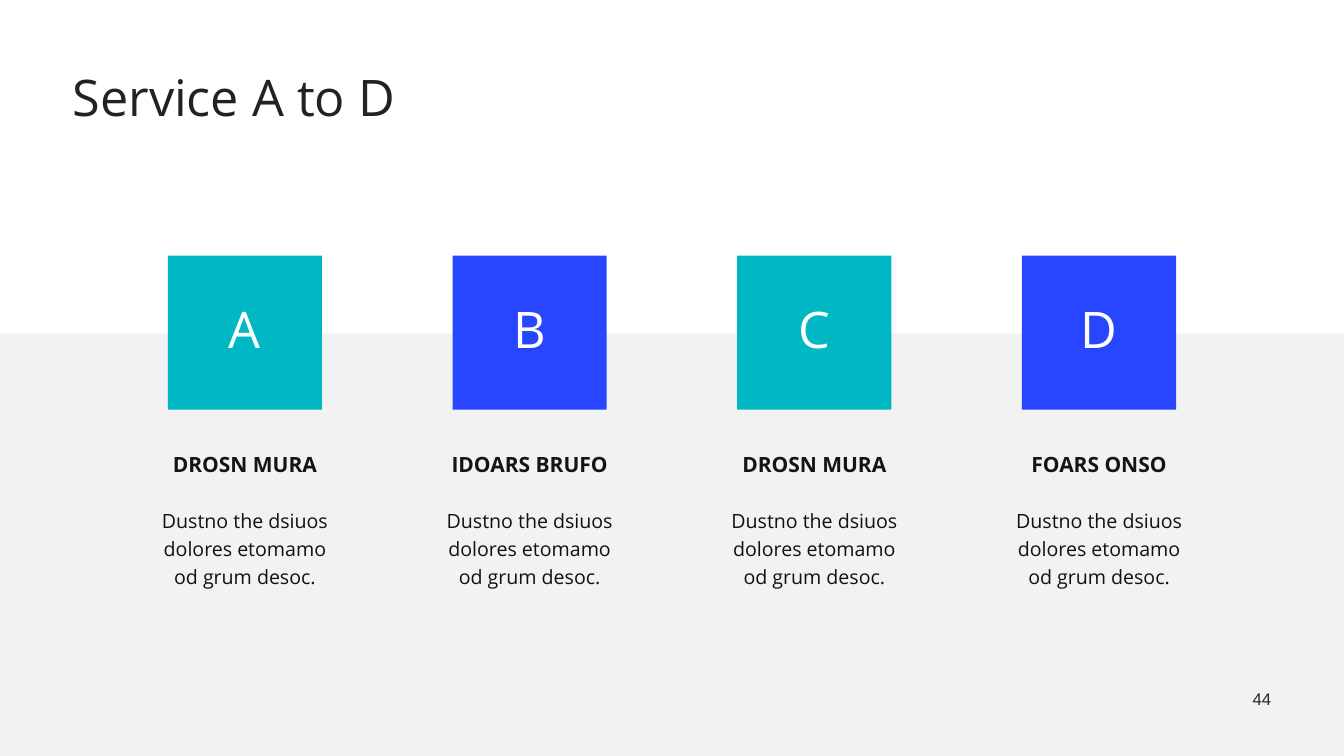
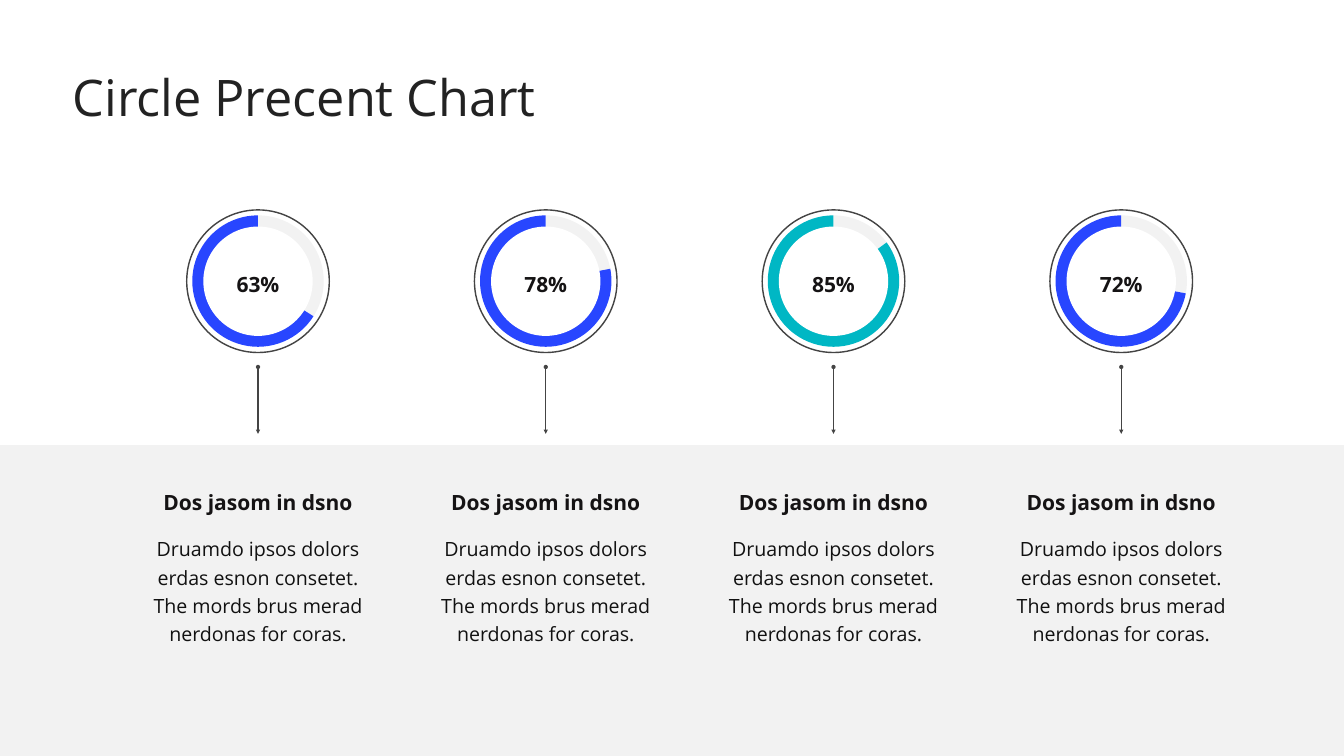
from lxml.etree import SubElement
from pptx import Presentation
from pptx.chart.data import CategoryChartData
from pptx.dml.color import RGBColor
from pptx.enum.chart import XL_CHART_TYPE as ChartType
from pptx.enum.shapes import MSO_CONNECTOR as Connector, MSO_SHAPE as Shape
from pptx.enum.text import MSO_ANCHOR as Anchor, MSO_AUTO_SIZE as AutoSize, PP_ALIGN as Align
from pptx.oxml import parse_xml
from pptx.oxml.ns import nsdecls, qn
from pptx.util import Inches, Pt

WHITE, PALE, LINE = "FFFFFF", "F2F2F2", "444444"
TEAL, BLUE = "00B7C4", "2846FF"
TITLE, HEADING, BODY, NUMBER = "222222", "151314", "111111", "24282B"
FONT = "Open Sans"
WIDTH, HEIGHT = 26.67, 15

SERVICES = [
    ("A", "DROSN MURA", TEAL),
    ("B", "IDOARS BRUFO", BLUE),
    ("C", "DROSN MURA", TEAL),
    ("D", "FOARS ONSO", BLUE),
]
SERVICE_TEXT = ["Dustno the dsiuos dolores etomamo", "od grum desoc."]
PERCENTS = [(63, 34, BLUE), (78, 22, BLUE), (85, 15, TEAL), (72, 28, BLUE)]
PERCENT_HEADING = "Dos jasom in dsno"
PERCENT_TEXT = [
    "Druamdo ipsos dolors erdas esnon consetet.",
    "The mords brus merad nerdonas for coras.",
]


def color(value):
    """Turn a hex string into a colour."""
    return RGBColor.from_string(value)


def place(box, left, top, width, height):
    """Move and size a box, in inches."""
    box.left, box.top = Inches(left), Inches(top)
    box.width, box.height = Inches(width), Inches(height)


def write(box, lines, *, size, ink, font=FONT, bold=False, align=Align.CENTER,
          spacing=1.0, anchor=Anchor.TOP, inset=0.05, tracking=0):
    """Fill a box with formatted paragraphs."""
    frame = box.text_frame
    frame.word_wrap = True
    frame.auto_size = AutoSize.SHAPE_TO_FIT_TEXT
    frame.vertical_anchor = anchor
    frame.margin_left = frame.margin_right = Inches(inset)
    frame.margin_top = frame.margin_bottom = Inches(inset)
    for index, line in enumerate(lines):
        para = frame.add_paragraph() if index else frame.paragraphs[0]
        para.alignment, para.line_spacing = align, spacing
        para.space_before = para.space_after = Pt(0)
        span = para.add_run()
        span.text = line
        span.font.name, span.font.size, span.font.bold = font, Pt(size), bold
        span.font.color.rgb = color(ink)
        if tracking:
            span.font._element.set("spc", str(tracking))


def add_text(page, center, top, width, height, lines, **style):
    """Add a text box centred on a column."""
    area = [Inches(n) for n in (center - width / 2, top, width, height)]
    write(page.shapes.add_textbox(*area), lines, **style)


def add_heading(page, center, top, width, text, **style):
    """Add a bold one-line heading."""
    add_text(page, center, top, width, 0.67, [text], size=30, ink=HEADING,
             bold=True, spacing=1.1, **style)


def add_body(page, center, top, width, height, lines, **style):
    """Add the running text under a heading."""
    add_text(page, center, top, width, height, lines, size=28, ink=BODY,
             spacing=1.2, **style)


def add_block(page, kind, left, top, width, height, fill, outline=None):
    """Add a plain filled shape."""
    block = page.shapes.add_shape(kind, *[Inches(n) for n in (left, top, width, height)])
    block.shadow.inherit = False
    block.fill.solid()
    block.fill.fore_color.rgb = color(fill)
    if outline:
        block.line.color.rgb, block.line.width = color(outline), Pt(2)
    else:
        block.line.fill.background()


def add_disc(page, center, middle, size, outline=None):
    """Add a white circle around a point."""
    add_block(page, Shape.OVAL, center - size / 2, middle - size / 2, size, size, WHITE, outline)


def add_arrow(page, center, start, end):
    """Add a vertical line with a triangle at its start and a dot at its end."""
    arrow = page.shapes.add_connector(
        Connector.STRAIGHT, Inches(center), Inches(start), Inches(center), Inches(end))
    arrow.line.color.rgb, arrow.line.width = color(LINE), Pt(2)
    outline = arrow.line._get_or_add_ln()
    SubElement(outline, qn("a:headEnd"), type="triangle")
    SubElement(outline, qn("a:tailEnd"), type="oval")
    SubElement(arrow._element.spPr, qn("a:effectLst"))


def add_pie(page, center, middle, size, values, fills):
    """Add a pie chart that fills its frame."""
    data = CategoryChartData()
    data.categories = ["1", "2"]
    data.add_series("Series 1", values)
    area = [Inches(n) for n in (center - size / 2, middle - size / 2, size, size)]
    chart = page.shapes.add_chart(ChartType.PIE, *area, data).chart
    chart.has_legend = chart.has_title = False
    chart.font.name, chart.font.size = FONT, Pt(10)
    chart.font.color.rgb = color(NUMBER)
    plot = chart.plots[0]
    plot.vary_by_categories = False
    series = plot.series[0]
    series.format.fill.solid()
    series.format.fill.fore_color.rgb = color(fills[0])
    for index, fill in enumerate(fills):
        piece = series.points[index].format
        piece.fill.solid()
        piece.fill.fore_color.rgb = color(fill)
        piece.line.fill.background()
    plot_area = chart.element.find(".//" + qn("c:plotArea"))
    for layout in plot_area.findall(qn("c:layout")):
        plot_area.remove(layout)
    plot_area.insert(0, parse_xml(
        f'<c:layout {nsdecls("c")}><c:manualLayout><c:layoutTarget val="inner"/>'
        '<c:xMode val="edge"/><c:yMode val="edge"/><c:x val="0.005"/><c:y val="0.005"/>'
        '<c:w val="0.99"/><c:h val="0.988"/></c:manualLayout></c:layout>'))


def add_page(deck, title):
    """Add a white slide with its title."""
    page = deck.slides.add_slide(deck.slide_layouts[5])
    page.background.fill.solid()
    page.background.fill.fore_color.rgb = color(WHITE)
    place(page.shapes.title, 1.39, 1.39, 10.28, 1.46)
    write(page.shapes.title, [title], size=72, ink=TITLE, align=Align.LEFT, spacing=0.9)
    return page


def add_band(page, top):
    """Add the pale band from a height down to the slide's foot."""
    add_block(page, Shape.RECTANGLE, 0, top, WIDTH, HEIGHT - top, PALE)


def build_services(deck):
    """Build the slide of four lettered services."""
    page = add_page(deck, "Service A to D")
    add_band(page, 6.62)
    add_text(page, 24.59, 13.61, 1.39, 0.51, ["44"], size=24, ink=NUMBER,
             font="Arial", align=Align.RIGHT, inset=0.06)
    side = 3.06
    for index, (letter, heading, fill) in enumerate(SERVICES):
        center = 4.86 + 5.65 * index
        add_block(page, Shape.RECTANGLE, center - side / 2, 5.07, side, side, fill)
        add_text(page, center, 5.87, side, 1.46, [letter], size=72, ink=WHITE,
                 spacing=0.9, anchor=Anchor.MIDDLE, tracking=720)
        add_heading(page, center, 8.84, 4.17, heading, anchor=Anchor.MIDDLE)
        add_body(page, center, 9.89, 4.17, 1.89, SERVICE_TEXT, anchor=Anchor.MIDDLE)


def build_percents(deck):
    """Build the slide of four percentage rings."""
    page = add_page(deck, "Circle Precent Chart")
    add_band(page, 8.83)
    middle = 5.58
    for index, (percent, rest, fill) in enumerate(PERCENTS):
        center = 5.12 + 5.71 * index
        add_disc(page, center, middle, 2.83, LINE)
        add_pie(page, center, middle, 2.64, (rest, 100 - rest), (PALE, fill))
        add_disc(page, center, middle, 2.17)
        add_arrow(page, center, 8.61, 7.28)
        add_heading(page, center, 5.28, 2.17, f"{percent}%")
        add_heading(page, center, 9.62, 4.28, PERCENT_HEADING)
        add_body(page, center, 10.52, 4.66, 2.53, PERCENT_TEXT)


def main():
    """Build the deck and save it."""
    deck = Presentation()
    deck.slide_width, deck.slide_height = Inches(WIDTH), Inches(HEIGHT)
    build_services(deck)
    build_percents(deck)
    deck.save("out.pptx")


if __name__ == "__main__":
    main()
